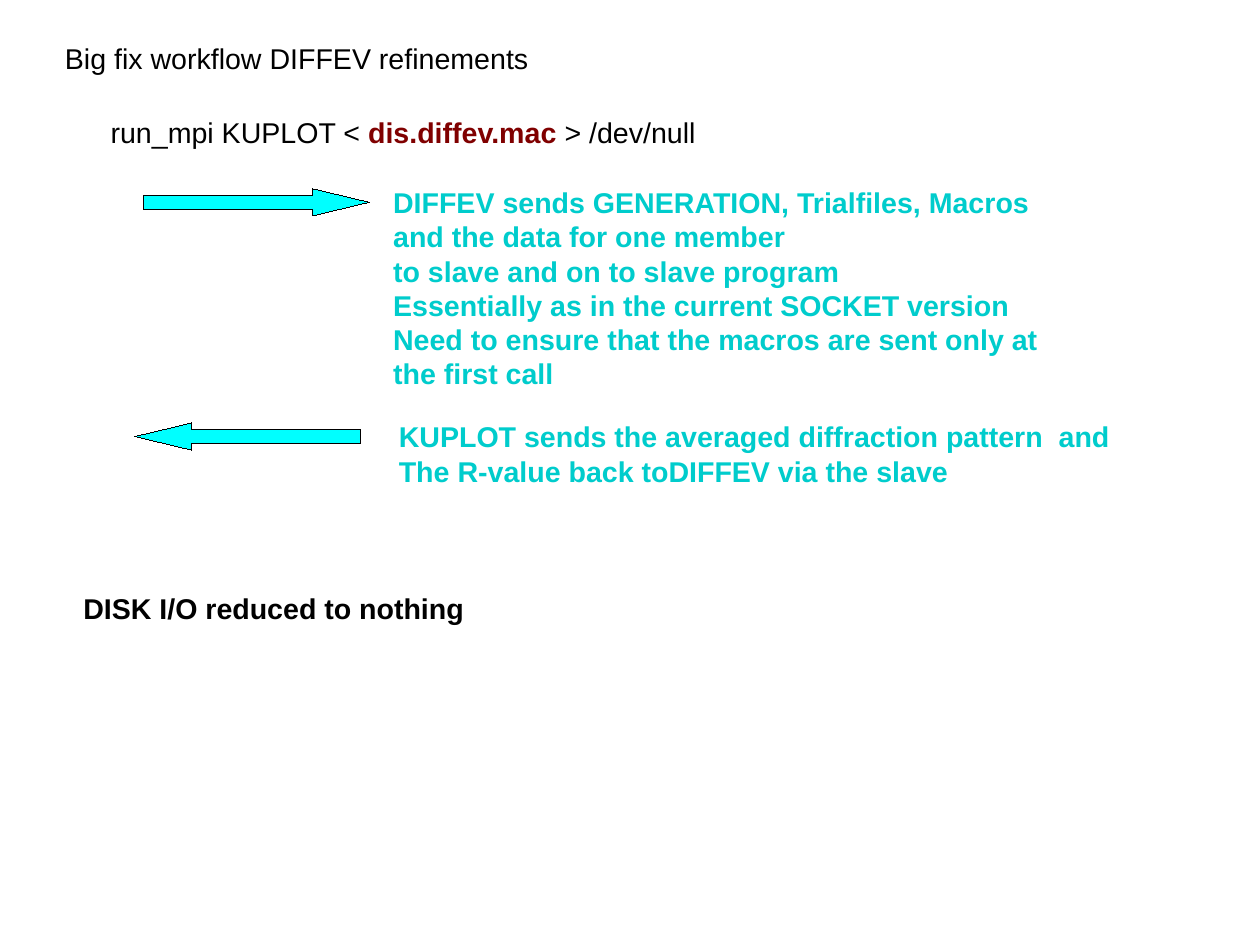
from pptx import Presentation
from pptx.dml.color import RGBColor
from pptx.enum.shapes import MSO_SHAPE
from pptx.enum.text import MSO_AUTO_SIZE
from pptx.util import Cm, Pt

RIGHT_ARROW = MSO_SHAPE.RIGHT_ARROW
LEFT_ARROW = MSO_SHAPE.LEFT_ARROW
FIT_SHAPE = MSO_AUTO_SIZE.SHAPE_TO_FIT_TEXT

COLORS = {
    "black": "000000",
    "macro": "800000",
    "message": "00CCCC",
    "arrow": "00FFFF",
}


class WorkflowSlide:
    """Places text and arrows by percent shares of the slide's size."""

    font_name = "Arial"
    font_size = Pt(18)
    hairline = Pt(0.01)
    line_share = 3.39
    padding_share = 1.21
    arrow_size = (17.88, 2.9)
    arrow_adjustments = (0.5, 2.083)

    def __init__(self, presentation):
        self.width = presentation.slide_width
        self.height = presentation.slide_height
        self.slide = presentation.slides.add_slide(presentation.slide_layouts[6])

    def box(self, left, top, width, height):
        return (
            round(self.width * left / 100),
            round(self.height * top / 100),
            round(self.width * width / 100),
            round(self.height * height / 100),
        )

    def color(self, name):
        return RGBColor.from_string(COLORS[name])

    def text(self, left, top, width, lines, color="black", bold=False):
        height = self.padding_share + self.line_share * len(lines)
        shape = self.slide.shapes.add_textbox(*self.box(left, top, width, height))
        frame = shape.text_frame
        frame.word_wrap = False
        frame.auto_size = FIT_SHAPE
        for index, line in enumerate(lines):
            paragraph = frame.paragraphs[0] if index == 0 else frame.add_paragraph()
            paragraph.font.name = self.font_name
            paragraph.font.size = self.font_size
            paragraph.font.bold = bold
            paragraph.font.color.rgb = self.color(color)
            paragraph.add_run().text = line
        return frame.paragraphs[-1]

    def command(self, left, top, width, before, macro, after):
        paragraph = self.text(left, top, width, [before])
        run = paragraph.add_run()
        run.text = macro
        run.font.bold = True
        run.font.color.rgb = self.color("macro")
        paragraph.add_run().text = after

    def arrow(self, left, top, kind):
        shape = self.slide.shapes.add_shape(kind, *self.box(left, top, *self.arrow_size))
        for index, value in enumerate(self.arrow_adjustments):
            shape.adjustments[index] = value
        shape.shadow.inherit = False
        shape.fill.solid()
        shape.fill.fore_color.rgb = self.color("arrow")
        shape.line.color.rgb = self.color("black")
        shape.line.width = self.hairline


def main():
    presentation = Presentation()
    presentation.slide_width = Cm(28)
    presentation.slide_height = Cm(21)
    workflow = WorkflowSlide(presentation)

    workflow.text(4.26, 3.75, 38.8, ["Big fix workflow DIFFEV refinements"])
    workflow.command(
        7.89, 11.61, 48.28, "run_mpi KUPLOT < ", "dis.diffev.mac", " > /dev/null"
    )

    workflow.arrow(11.43, 19.95, RIGHT_ARROW)
    sent_lines = [
        "DIFFEV sends GENERATION, Trialfiles, Macros",
        "and the data for one member",
        "to slave and on to slave program",
        "Essentially as in the current SOCKET version",
        "Need to ensure that the macros are sent only at",
        "the first call",
    ]
    workflow.text(30.31, 18.98, 53.63, sent_lines, "message", True)

    workflow.arrow(10.71, 44.74, LEFT_ARROW)
    returned_lines = [
        "KUPLOT sends the averaged diffraction pattern  and",
        "The R-value back toDIFFEV via the slave",
    ]
    workflow.text(30.76, 43.77, 58.26, returned_lines, "message", True)

    workflow.text(5.72, 61.91, 32.12, ["DISK I/O reduced to nothing"], bold=True)
    presentation.save("out.pptx")


if __name__ == "__main__":
    main()
